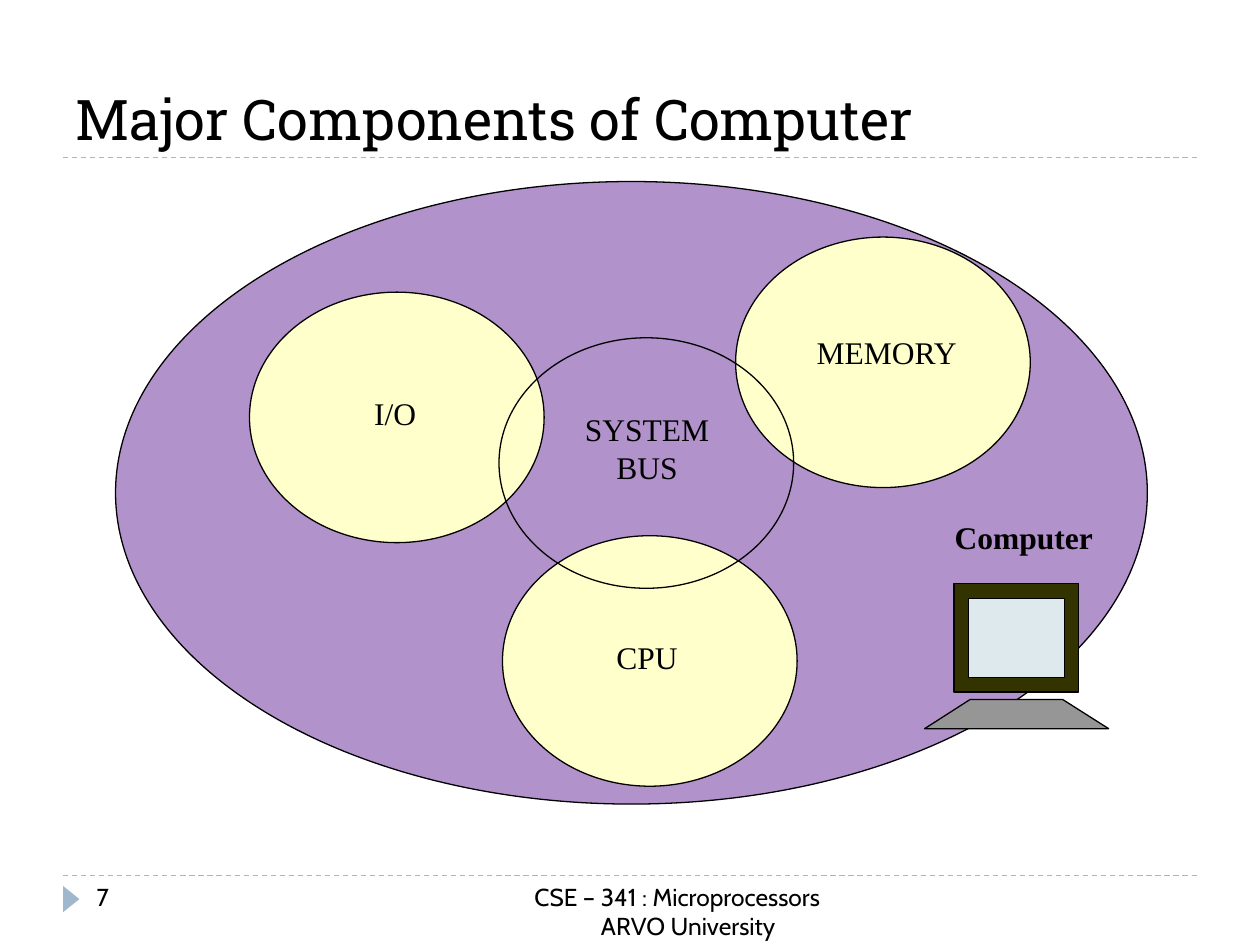
import pptx
import pptx.util
import pptx.dml.color
import pptx.enum.dml
import pptx.enum.shapes
import pptx.enum.text
import pptx.oxml.ns
import lxml.etree

Cm = pptx.util.Cm
Pt = pptx.util.Pt
SHAPE = pptx.enum.shapes.MSO_SHAPE
ALIGN = pptx.enum.text.PP_ALIGN
ANCHOR = pptx.enum.text.MSO_ANCHOR
SERIF = "Times New Roman"


def paint(s, fill, line="000000"):
    s.shadow.inherit = False
    for color, target in ((fill, s.fill), (line, s.line.fill)):
        if color:
            target.solid()
            target.fore_color.rgb = pptx.dml.color.RGBColor.from_string(color)
        else:
            target.background()
    if line:
        s.line.width = Pt(0.75)


def write(s, text, font, size, align=ALIGN.CENTER, anchor=ANCHOR.TOP, bold=False):
    tf = s.text_frame
    tf.text = text
    tf.word_wrap = True
    tf.vertical_anchor = anchor
    for p in tf.paragraphs:
        p.alignment = align
        for r in p.runs:
            r.font.name = font
            r.font.size = Pt(size)
            r.font.bold = bold
            r.font.color.rgb = pptx.dml.color.RGBColor.from_string("000000")


prs = pptx.Presentation()
prs.slide_width = Cm(25.4)
prs.slide_height = Cm(19.05)
slide = prs.slides.add_slide(prs.slide_layouts[6])
shapes = slide.shapes

for y in (17.65, 3.18):
    rule = shapes.add_connector(pptx.enum.shapes.MSO_CONNECTOR.STRAIGHT, Cm(1.27), Cm(y), Cm(24.13), Cm(y))
    rule.line.color.rgb = pptx.dml.color.RGBColor.from_string("9FB8CD")
    rule.line.width = Pt(0.75)
    rule.line.dash_style = pptx.enum.dml.MSO_LINE.DASH
    lxml.etree.SubElement(rule._element.spPr, pptx.oxml.ns.qn("a:effectLst"))

marker = shapes.add_shape(SHAPE.ISOSCELES_TRIANGLE, Cm(1.17), Cm(17.96), Cm(0.53), Cm(0.33))
marker.rotation = 90
paint(marker, "9FB8CD", None)

title = shapes.add_textbox(Cm(1.27), Cm(0.43), Cm(22.86), Cm(2.75))
write(title, "Major Components of Computer", "Roboto Slab", 32, ALIGN.LEFT, ANCHOR.BOTTOM)
number = shapes.add_textbox(Cm(1.7), Cm(17.65), Cm(5.51), Cm(1.02))
write(number, "7", "Cabin", 14, ALIGN.LEFT)

computer = shapes.add_shape(SHAPE.OVAL, Cm(2.33), Cm(3.66), Cm(20.8), Cm(12.55))
paint(computer, "B292CA")
caption = shapes.add_textbox(Cm(18.34), Cm(10.31), Cm(4.6), Cm(1.02))
write(caption, "Computer", SERIF, 18, bold=True)

monitor = shapes.add_shape(SHAPE.RECTANGLE, Cm(19.23), Cm(11.76), Cm(2.52), Cm(2.19))
paint(monitor, "333300")
builder = shapes.build_freeform(Cm(18.64), Cm(14.69))
builder.add_line_segments([(Cm(19.56), Cm(14.1)), (Cm(21.42), Cm(14.1)), (Cm(22.35), Cm(14.69))])
keyboard = builder.convert_to_shape()
paint(keyboard, "969696")
screen = shapes.add_shape(SHAPE.RECTANGLE, Cm(19.52), Cm(12.06), Cm(1.94), Cm(1.6))
paint(screen, "DDE9EC")

parts = [
    ("CPU", 10.13, 10.8, 0.92, 1.93, 3.99, 1.02, "FFFFCC"),
    ("MEMORY", 14.83, 4.78, 0.77, 1.8, 4.55, 1.02, "FFFFCC"),
    ("I/O", 5.03, 5.89, 0.94, 1.93, 3.99, 1.02, "FFFFCC"),
    ("SYSTEM BUS", 10.06, 6.81, 0.99, 1.34, 3.99, 1.8, None),
]
for name, x, y, dx, dy, w, h, fill in parts:
    circle = shapes.add_shape(SHAPE.OVAL, Cm(x), Cm(y), Cm(5.94), Cm(5.05))
    paint(circle, fill)
    label = shapes.add_shape(SHAPE.RECTANGLE, Cm(x + dx), Cm(y + dy), Cm(w), Cm(h))
    paint(label, fill, None)
    write(label, name, SERIF, 18)

footer = shapes.add_textbox(Cm(5.08), Cm(17.65), Cm(17.15), Cm(1.02))
write(footer, "CSE – 341 : Microprocessors\nARVO University", "Cabin", 14)
footer.text_frame.paragraphs[1]._p.get_or_add_pPr().set("marL", str(Cm(0.44)))

prs.save("out.pptx")
